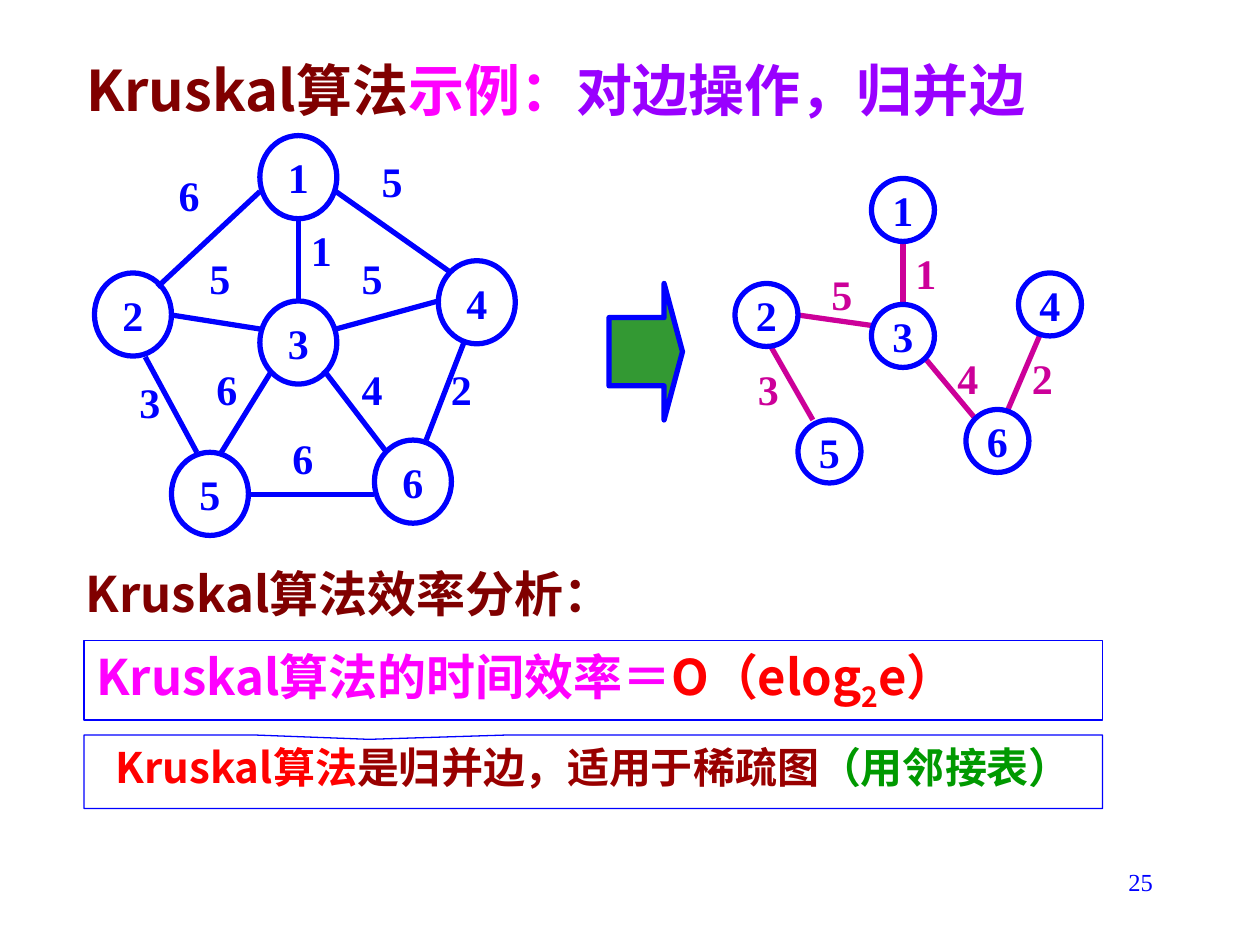
from lxml import etree
from pptx import Presentation
from pptx.dml import color
from pptx.enum import shapes, text
from pptx.oxml import ns
from pptx.util import Pt

COLORS = {
    "blue": "0000FF", "plum": "CC0099", "maroon": "800000", "magenta": "FF00FF",
    "violet": "9900FF", "red": "FF0000", "brown": "990000", "green": "009900",
    "arrow": "339933", "white": "FFFFFF",
}
CJK, SERIF = "Noto Sans CJK SC", "Times New Roman"
LEFT, CENTER, RIGHT = text.PP_ALIGN.LEFT, text.PP_ALIGN.CENTER, text.PP_ALIGN.RIGHT
TOP, MIDDLE = text.MSO_ANCHOR.TOP, text.MSO_ANCHOR.MIDDLE


def rgb(name):
    return color.RGBColor.from_string(COLORS[name])


def write(frame, runs, size, face=CJK, align=LEFT, anchor=TOP, wrap=True, bold=True):
    frame.auto_size = text.MSO_AUTO_SIZE.NONE
    frame.word_wrap = wrap
    frame.vertical_anchor = anchor
    paragraph = frame.paragraphs[0]
    paragraph.alignment = align
    for words, hue, *baseline in runs:
        run = paragraph.add_run()
        run.text = words
        run.font.size = Pt(size)
        run.font.bold = bold
        run.font.color.rgb = rgb(hue)
        run.font.name = face
        properties = run._r.get_or_add_rPr()
        etree.SubElement(properties, ns.qn("a:ea"), typeface=face)
        if baseline:
            properties.set("baseline", str(baseline[0]))


deck = Presentation()
deck.slide_width, deck.slide_height = Pt(720), Pt(540)
slide = deck.slides.add_slide(deck.slide_layouts[5])
parts = slide.shapes

title = parts.title
title.left, title.top, title.width, title.height = Pt(42), Pt(30), Pt(570), Pt(42)
write(title.text_frame, [("Kruskal算法", "maroon"), ("示例：", "magenta"),
                         ("对边操作，归并边", "violet")], 32, anchor=MIDDLE)

full_graph = {
    "node_size": (44, 47.5),
    "edge_color": "blue",
    "nodes": [("1", 148.5, 77.5), ("4", 250.5, 149), ("6", 214, 251.5),
              ("5", 98, 258.5), ("2", 54, 156), ("3", 148.5, 172)],
    "edges": [
        ("6", 95, 93.5, (148.5, 109.5, 90, 164)),
        ("3", 72.5, 211.5, (83, 204, 112.5, 258.5)),
        ("6", 160, 243.5, (141.5, 282.5, 214, 282.5)),
        ("2", 250.5, 204, (265, 196, 243.5, 251.5)),
        ("5", 211, 85.5, (192, 109.5, 258, 156)),
        ("1", 170.5, 125, (170.5, 125, 170.5, 172)),
        ("6", 116.5, 204, (155.5, 211.5, 126.5, 258.5)),
        ("4", 199.5, 204, (185, 211.5, 221, 258.5)),
        ("5", 199.5, 141, (192, 188, 250.5, 172)),
        ("5", 112.5, 141, (98, 180, 148.5, 188)),
    ],
}
spanning_tree = {
    "node_size": (36, 36),
    "edge_color": "plum",
    "nodes": [("1", 498, 102), ("3", 498, 174), ("5", 456, 240),
              ("2", 420, 162), ("4", 582, 156), ("6", 552, 234)],
    "edges": [
        ("1", 516, 138, (516, 138, 516, 174)),
        ("5", 468, 150, (456, 180, 498, 186)),
        ("4", 540, 198, (528, 204, 558, 240)),
        ("3", 426, 204, (440.5, 198, 464.5, 240)),
        ("2", 582.5, 198, (594, 192, 576, 234)),
    ],
}

for graph in (full_graph, spanning_tree):
    hue = graph["edge_color"]
    for weight, x, y, ends in graph["edges"]:
        edge = parts.add_connector(shapes.MSO_CONNECTOR.STRAIGHT, *map(Pt, ends))
        edge.line.color.rgb = rgb(hue)
        edge.line.width = Pt(3)
        etree.SubElement(edge._element.spPr, ns.qn("a:effectLst"))
        label = parts.add_textbox(Pt(x), Pt(y), Pt(26), Pt(36))
        write(label.text_frame, [(weight, hue)], 24, SERIF, wrap=False)
    for name, x, y in graph["nodes"]:
        node = parts.add_shape(shapes.MSO_SHAPE.OVAL, Pt(x), Pt(y), *map(Pt, graph["node_size"]))
        node.shadow.inherit = False
        node.fill.background()
        node.line.color.rgb = rgb("blue")
        node.line.width = Pt(3)
        write(node.text_frame, [(name, "blue")], 24, SERIF, CENTER, MIDDLE, wrap=False)

arrow = parts.add_shape(shapes.MSO_SHAPE.RIGHT_ARROW, Pt(348), Pt(162), Pt(42), Pt(78))
arrow.adjustments[0], arrow.adjustments[1] = 0.5, 0.25
efficiency = parts.add_shape(shapes.MSO_SHAPE.RECTANGLE, Pt(48), Pt(366), Pt(582), Pt(45.5))
usage = parts.add_shape(shapes.MSO_SHAPE.RECTANGULAR_CALLOUT, Pt(48), Pt(420), Pt(582), Pt(42))
usage.adjustments[0], usage.adjustments[1] = -0.22, -0.44
for panel, fill, width in ((arrow, "arrow", 3), (efficiency, "white", 0.75), (usage, "white", 0.75)):
    panel.shadow.inherit = False
    panel.fill.solid()
    panel.fill.fore_color.rgb = rgb(fill)
    panel.line.color.rgb = rgb("blue")
    panel.line.width = Pt(width)

heading = parts.add_textbox(Pt(42), Pt(318), Pt(612), Pt(42))
write(heading.text_frame, [("Kruskal算法效率分析：", "maroon")], 28, anchor=MIDDLE)
write(efficiency.text_frame, [("Kruskal算法的时间效率＝", "magenta"), ("O（elog", "red"),
                              ("2", "red", -25000), ("e）", "red")], 28)
write(usage.text_frame, [("Kruskal算法", "red"), ("是归并边，适用于稀疏图", "brown"),
                         ("（用邻接表）", "green")], 24, align=CENTER)

page_number = parts.add_textbox(Pt(516), Pt(492), Pt(150), Pt(36))
write(page_number.text_frame, [("25", "blue")], 14, SERIF, RIGHT, bold=False)

deck.save("out.pptx")
